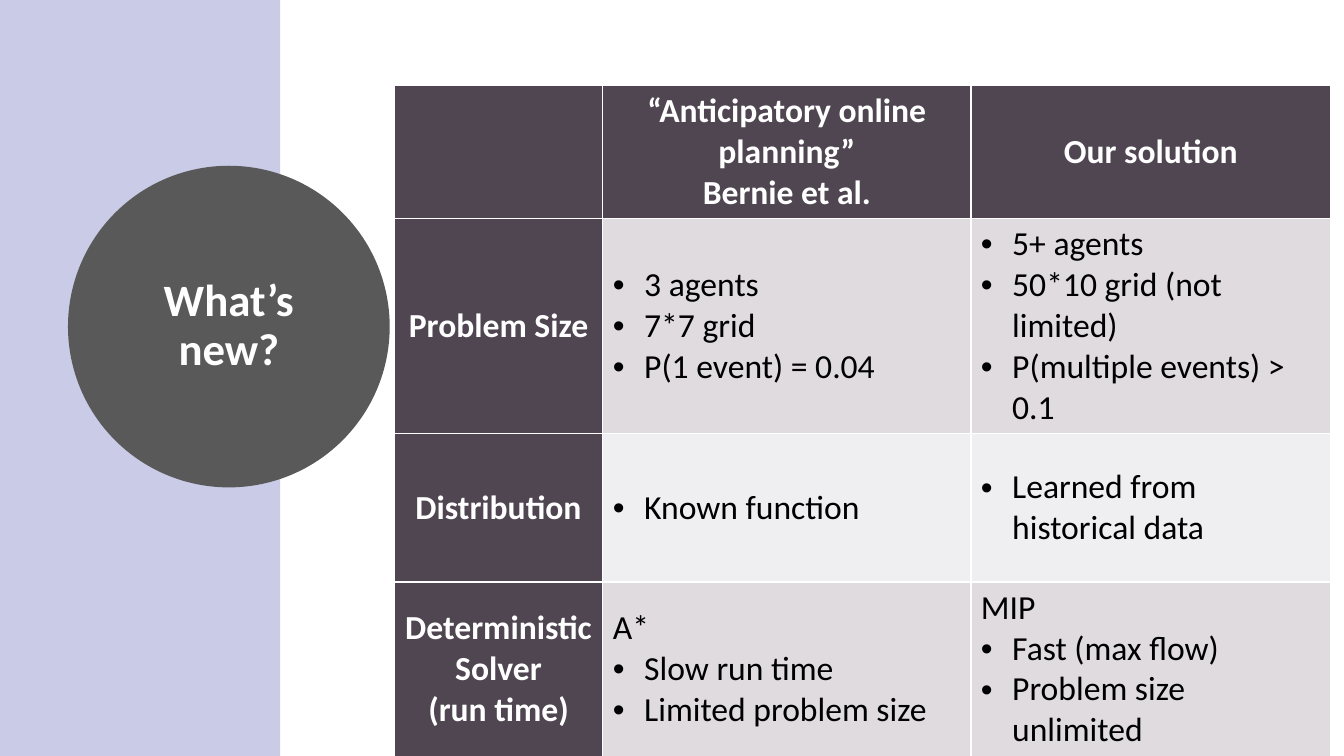
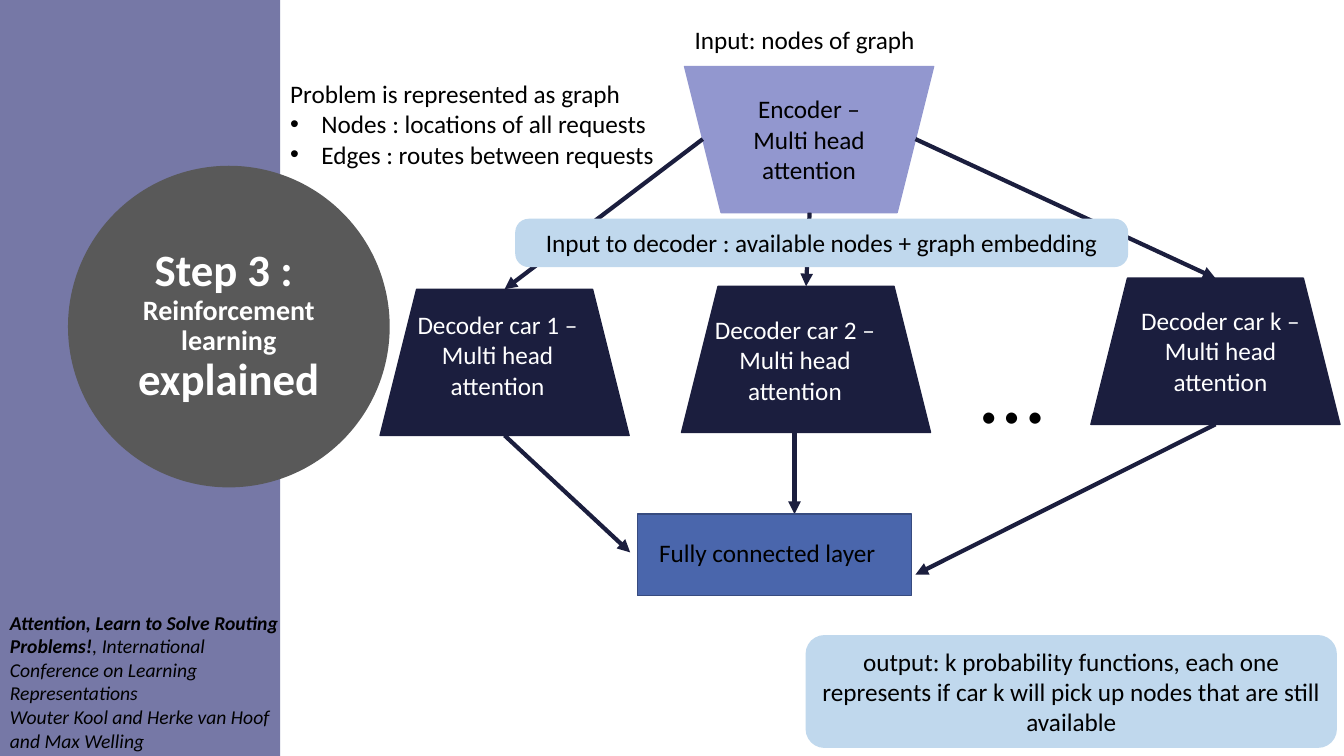
from dataclasses import dataclass

from lxml.etree import SubElement
from pptx import Presentation
from pptx.dml.color import RGBColor
from pptx.enum.shapes import MSO_CONNECTOR, MSO_SHAPE
from pptx.enum.text import MSO_ANCHOR, PP_ALIGN
from pptx.oxml.ns import qn
from pptx.util import Pt

SCALE = 9144  # EMU per px, 100 px to the inch


def px(*values):
    return [value * SCALE for value in values]


@dataclass(frozen=True)
class Theme:
    font: str = "Calibri"
    white: str = "FFFFFF"
    black: str = "000000"
    gray: str = "595959"
    lilac: str = "C9CBE7"
    violet: str = "7678A6"
    plum: str = "504652"
    stripes: tuple = ("DFDBDF", "EFEEF0")
    lavender: str = "9297CF"
    navy: str = "1B1E3E"
    sky: str = "C0D8ED"
    blue: str = "4A66AC"
    edge: str = "374B7F"
    title: int = 32
    sub: int = 20
    cell: int = 24
    body: int = 18
    note: int = 14
    dots: int = 66


class Deck:
    def __init__(self, theme):
        self.theme = theme
        self.file = Presentation()
        self.file.slide_width, self.file.slide_height = px(1333, 750)
        self.slide = None

    def page(self):
        self.slide = self.file.slides.add_slide(self.file.slide_layouts[6])

    def paint(self, target, color):
        target.fill.solid()
        target.fill.fore_color.rgb = RGBColor.from_string(color)

    def bullet(self, para):
        props = para._p.get_or_add_pPr()
        props.set("marL", str(31 * SCALE))
        props.set("indent", str(-31 * SCALE))
        SubElement(props, qn("a:buFont")).set("typeface", "Arial")
        SubElement(props, qn("a:buChar")).set("char", "•")

    def label(self, frame, lines, color=None, align=PP_ALIGN.LEFT, space=None, **style):
        """Each line is a string, or a list of (text, format) runs; "• " starts a bullet."""
        frame.word_wrap = True
        base = {"name": self.theme.font, "size": self.theme.body, **style}
        for index, line in enumerate(lines):
            para = frame.add_paragraph() if index else frame.paragraphs[0]
            runs = [(line, {})] if isinstance(line, str) else line
            if runs[0][0].startswith("• "):
                self.bullet(para)
            para.alignment = align
            if space:
                para.line_spacing = space
            for text, extra in runs:
                run = para.add_run()
                run.text = text.removeprefix("• ")
                for key, value in {**base, **extra}.items():
                    setattr(run.font, key, Pt(value) if key == "size" else value)
                run.font.color.rgb = RGBColor.from_string(color or self.theme.black)

    def shape(self, kind, box, fill, line=None, width=1, lines=(), **style):
        item = self.slide.shapes.add_shape(kind, *px(*box))
        item.shadow.inherit = False
        self.paint(item, fill)
        if line:
            item.line.color.rgb = RGBColor.from_string(line)
            item.line.width = Pt(width)
        else:
            item.line.fill.background()
        if lines:
            item.text_frame.vertical_anchor = MSO_ANCHOR.MIDDLE
            self.label(item.text_frame, lines, align=PP_ALIGN.CENTER, **style)
        return item

    def text(self, box, lines, **style):
        item = self.slide.shapes.add_textbox(*px(*box))
        self.label(item.text_frame, lines, **style)

    def side(self, color, lines):
        """Left band with the round title."""
        look = self.theme
        self.shape(MSO_SHAPE.RECTANGLE, (0, 0, 278, 750), color)
        self.shape(MSO_SHAPE.OVAL, (77, 174, 300, 300), look.gray, look.gray, 13.75,
                   lines, color=look.white, size=look.title, bold=True, space=0.9)

    def bubble(self, box, text, round=0.167):
        item = self.shape(MSO_SHAPE.ROUNDED_RECTANGLE, box, self.theme.sky, lines=[text])
        item.adjustments[0] = round

    def block(self, left, top, name, offset, fill, color, flip=False):
        """Trapezoid with a label box placed at an offset inside it."""
        item = self.shape(MSO_SHAPE.TRAPEZOID, (left, top, 247, 145), fill, fill)
        if flip:
            item._element.spPr.find(qn("a:xfrm")).set("flipV", "1")
        self.text((left + offset[0], top + offset[1], 183, 101),
                  [f"{name} –", "Multi head attention"],
                  color=color, align=PP_ALIGN.CENTER)
        return item

    def arrow(self, start, end, source=None, target=None):
        item = self.slide.shapes.add_connector(MSO_CONNECTOR.STRAIGHT, *px(*start, *end))
        if source:
            item.begin_connect(source, 2)
        if target:
            item.end_connect(target, 0)
        item.line.color.rgb = RGBColor.from_string(self.theme.navy)
        item.line.width = Pt(3)
        SubElement(item.line._get_or_add_ln(), qn("a:tailEnd")).set("type", "triangle")
        SubElement(item._element.spPr, qn("a:effectLst"))

    def table(self, place, widths, heights, rows):
        look = self.theme
        box = px(*place, sum(widths), sum(heights))
        grid = self.slide.shapes.add_table(len(rows), len(widths), *box).table
        for column, width in zip(grid.columns, px(*widths)):
            column.width = width
        for row, height in zip(grid.rows, px(*heights)):
            row.height = height
        for y, row in enumerate(rows):
            for x, lines in enumerate(row):
                cell = grid.cell(y, x)
                head = x == 0 or y == 0
                cell.vertical_anchor = MSO_ANCHOR.MIDDLE
                self.paint(cell, look.plum if head else look.stripes[(y - 1) % 2])
                self.label(cell.text_frame, lines, size=look.cell, bold=head,
                           color=look.white if head else look.black,
                           align=PP_ALIGN.CENTER if head else PP_ALIGN.LEFT)


def news(deck):
    deck.page()
    deck.table((391, 85), (207, 365, 357), (121, 159, 147, 159), [
        [[], ["“Anticipatory online planning”", "Bernie et al."], ["Our solution"]],
        [["Problem Size"],
         ["• 3 agents", "• 7*7 grid", "• P(1 event) = 0.04"],
         ["• 5+ agents", "• 50*10 grid (not limited)", "• P(multiple events) > 0.1"]],
        [["Distribution"], ["• Known function"], ["• Learned from historical data"]],
        [["Deterministic Solver", "(run time)"],
         ["A*", "• Slow run time", "• Limited problem size"],
         ["MIP", "• Fast (max flow)", "• Problem size unlimited"]],
    ])
    deck.side(deck.theme.lilac, ["What’s new?"])


def model(deck):
    look = deck.theme
    deck.page()
    deck.side(look.violet, ["Step 3 : ", [("Reinforcement learning", {"size": look.sub})],
                            "explained"])

    # Encoder and decoders
    deck.block(679, 66, "Encoder", (32, 22), look.lavender, look.black, flip=True)
    first, second, last = [
        deck.block(left, top, f"Decoder car {name}", offset, look.navy, look.white)
        for left, top, name, offset in [(377, 287, "1", (25, 15)),
                                        (676, 284, "2", (21, 23)),
                                        (1082, 276, "k", (37, 22))]]
    deck.text((963, 324, 96, 121), ["…"], size=look.dots)

    # Flow
    deck.arrow((697, 138), (501, 287), target=first)
    deck.arrow((908, 138), (1206, 276), target=last)
    deck.arrow((803, 211), (802, 284), target=second)
    deck.arrow((501, 432), (625, 548), source=first)
    deck.arrow((1206, 421), (908, 570), source=last)
    deck.arrow((788, 429), (788, 510))

    # Final layer
    deck.shape(MSO_SHAPE.RECTANGLE, (632, 510, 272, 81), look.blue, look.edge)
    deck.text((625, 528, 272, 40), ["Fully connected layer"], align=PP_ALIGN.CENTER)

    # Inputs, output and notes
    deck.text((679, 19, 247, 40), ["Input: nodes of graph"])
    deck.bubble((511, 217, 608, 48),
                "Input to decoder : available nodes + graph embedding", 0.28)
    deck.bubble((799, 630, 527, 112),
                "output: k probability functions, each one represents "
                "if car k will pick up nodes that are still available")
    deck.text((0, 601, 287, 151), [
        [("Attention, Learn to Solve Routing Problems!", {"bold": True}),
         (", International Conference on Learning Representations", {})],
        "Wouter Kool and Herke van Hoof and Max Welling",
    ], size=look.note, italic=True)
    deck.text((278, 73, 438, 131), [
        "Problem is represented as graph",
        "• Nodes : locations of all requests",
        "• Edges : routes between requests",
    ])


def main():
    deck = Deck(Theme())
    news(deck)
    model(deck)
    deck.file.save("out.pptx")


if __name__ == "__main__":
    main()
